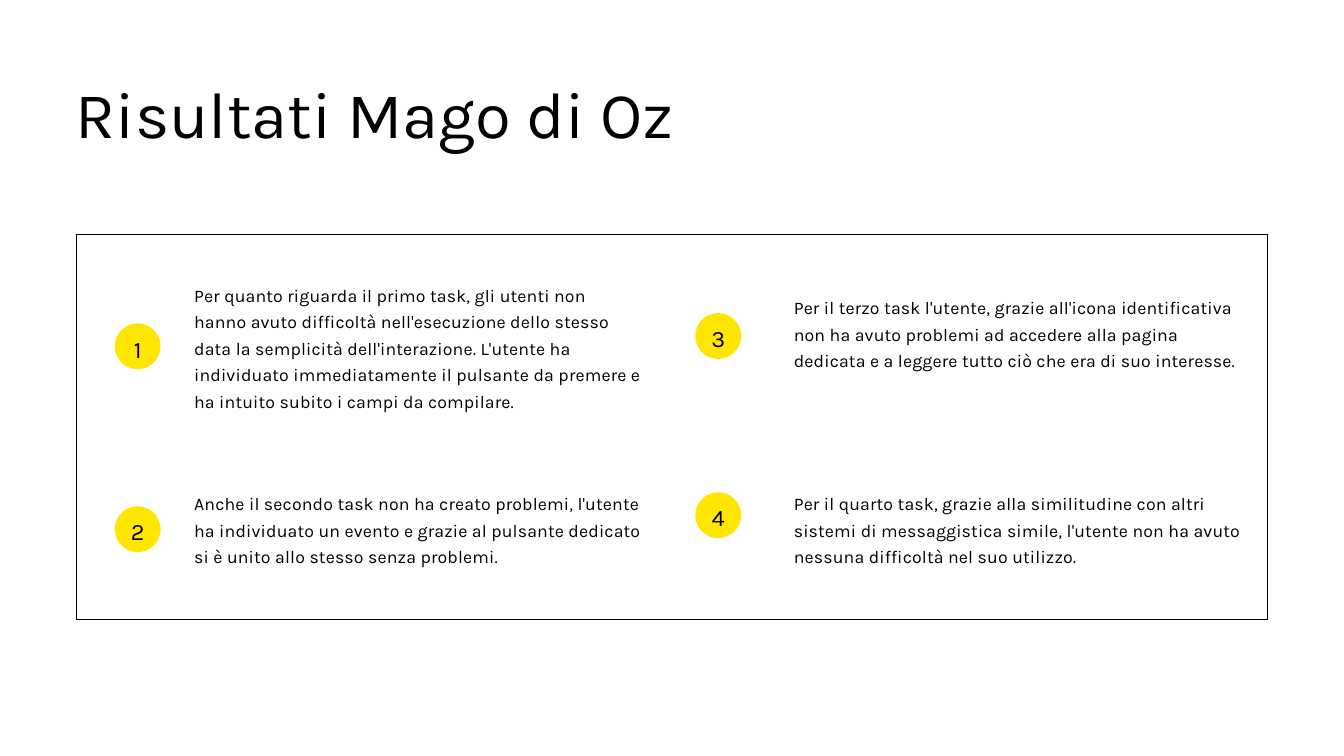
from lxml.etree import SubElement
from pptx import Presentation
from pptx.dml.color import RGBColor
from pptx.enum.shapes import MSO_SHAPE
from pptx.enum.text import MSO_ANCHOR, MSO_AUTO_SIZE, PP_ALIGN
from pptx.oxml.ns import qn
from pptx.util import Pt

COLORS = {"ink": "000000", "paper": "FFFFFF", "badge": "FFE500"}
FONT = "Karla"
FRAME = (81.5, 251, 1277, 412.5)
TITLE_BOX = (81, 85, 760, 79)
BADGE_SIZE = 49
FINDING_WIDTH = 481
LINE_HEIGHT = 28.5

# Left edges of the badge and of the text in each column
COLUMNS = [(123, 208), (745, 850.5)]

# Column, top of badge, top of text, number of lines, text
FINDINGS = [
    (0, 346.5, 299, 5,
     "Per quanto riguarda il primo task, gli utenti non hanno avuto difficoltà "
     "nell'esecuzione dello stesso data la semplicità dell'interazione. L'utente ha "
     "individuato immediatamente il pulsante da premere e ha intuito subito i campi "
     "da compilare."),
    (0, 542.5, 522.5, 3,
     "Anche il secondo task non ha creato problemi, l'utente ha individuato un evento "
     "e grazie al pulsante dedicato si è unito allo stesso senza problemi."),
    (1, 335.5, 312.5, 3,
     "Per il terzo task l'utente, grazie all'icona identificativa non ha avuto "
     "problemi ad accedere alla pagina dedicata e a leggere tutto ciò che era di suo "
     "interesse."),
    (1, 527.5, 522.5, 3,
     "Per il quarto task, grazie alla similitudine con altri sistemi di messaggistica "
     "simile, l'utente non ha avuto nessuna difficoltà nel suo utilizzo."),
]


def color(name):
    return RGBColor.from_string(COLORS[name])


def points(box):
    return [Pt(length) for length in box]


class ResultsSlide:
    def __init__(self, deck):
        self.slide = deck.slides.add_slide(deck.slide_layouts[5])
        self.slide.background.fill.solid()
        self.slide.background.fill.fore_color.rgb = color("paper")

    def set_text(self, holder, text, size, line_height, align=PP_ALIGN.LEFT,
                 anchor=MSO_ANCHOR.TOP, tracking=0):
        """Fill a text holder; tracking is in hundredths of a point."""
        frame = holder.text_frame
        frame_format = {"margin_left": 0, "margin_top": 0, "margin_right": 0,
                        "margin_bottom": 0, "word_wrap": True,
                        "auto_size": MSO_AUTO_SIZE.NONE, "vertical_anchor": anchor}
        for key, value in frame_format.items():
            setattr(frame, key, value)
        paragraph = frame.paragraphs[0]
        paragraph.alignment = align
        paragraph.line_spacing = Pt(line_height)
        run = paragraph.add_run()
        run.text = text
        for key, value in {"name": FONT, "size": Pt(size), "bold": False}.items():
            setattr(run.font, key, value)
        run.font.color.rgb = color("ink")
        if tracking:
            run._r.get_or_add_rPr().set("spc", str(tracking))

    def title(self, text):
        heading = self.slide.shapes.title
        heading.left, heading.top, heading.width, heading.height = points(TITLE_BOX)
        self.set_text(heading, text, 70, 77)

    def frame(self):
        border = self.slide.shapes.add_shape(MSO_SHAPE.RECTANGLE, *points(FRAME))
        border.shadow.inherit = False
        border.fill.background()
        border.line.color.rgb = color("ink")
        border.line.width = Pt(1)
        outline = border.element.spPr.find(qn("a:ln"))
        SubElement(outline, qn("a:miter"), lim="800000")

    def badge(self, number, left, top):
        circle = self.slide.shapes.add_shape(
            MSO_SHAPE.OVAL, *points((left, top, BADGE_SIZE, BADGE_SIZE)))
        circle.shadow.inherit = False
        circle.fill.solid()
        circle.fill.fore_color.rgb = color("badge")
        circle.line.fill.background()
        self.set_text(circle, str(number), 25.2, 35.3, PP_ALIGN.CENTER, MSO_ANCHOR.MIDDLE)

    def finding(self, text, left, top, lines):
        box = (left, top, FINDING_WIDTH, lines * LINE_HEIGHT)
        self.set_text(self.slide.shapes.add_textbox(*points(box)), text, 19, LINE_HEIGHT,
                      tracking=20)


def main():
    deck = Presentation()
    deck.slide_width, deck.slide_height = Pt(1440), Pt(810)
    results = ResultsSlide(deck)
    results.frame()
    results.title("Risultati Mago di Oz")
    for number, (column, badge_top, text_top, lines, text) in enumerate(FINDINGS, 1):
        badge_left, text_left = COLUMNS[column]
        results.finding(text, text_left, text_top, lines)
        results.badge(number, badge_left, badge_top)
    deck.save("out.pptx")


if __name__ == "__main__":
    main()
